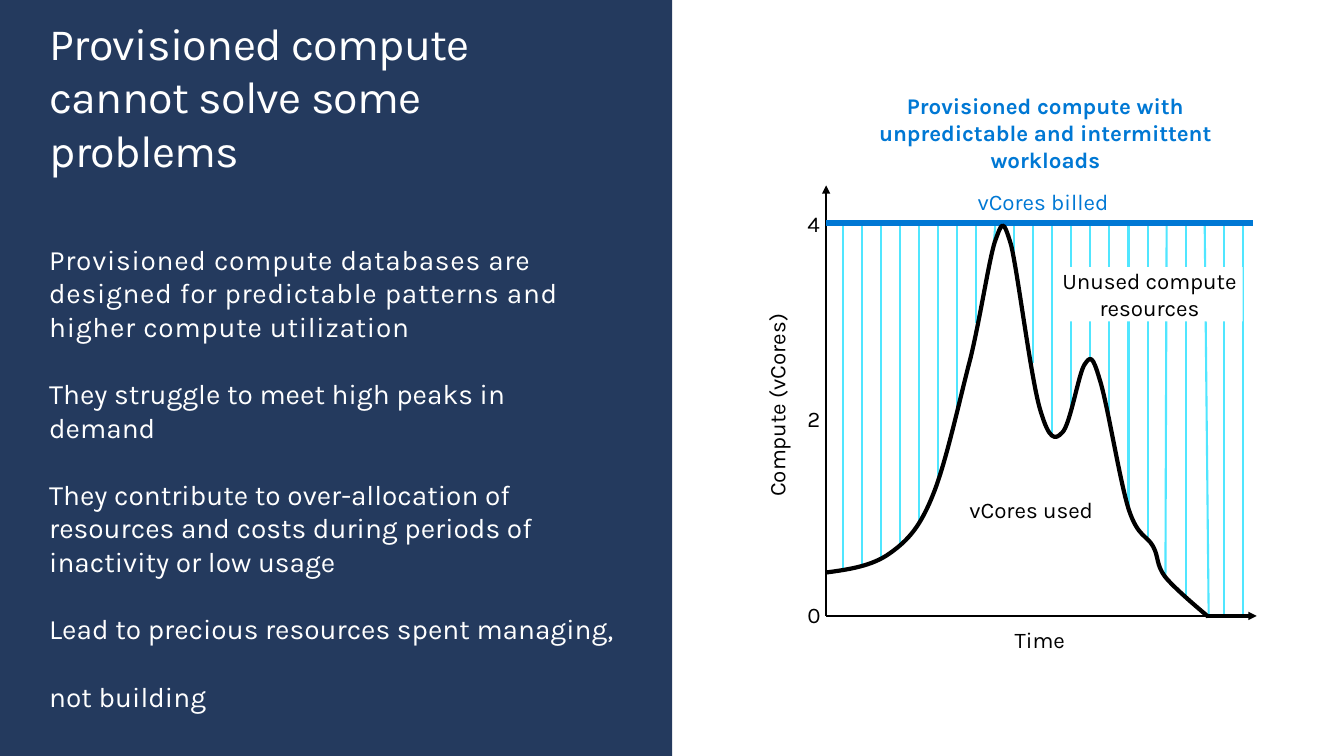
from lxml import etree
from pptx import Presentation
from pptx.dml.color import RGBColor
from pptx.enum.shapes import MSO_CONNECTOR, MSO_SHAPE
from pptx.enum.text import MSO_ANCHOR, PP_ALIGN
from pptx.oxml.ns import qn
from pptx.util import Cm, Pt

LEFT, CENTER = PP_ALIGN.LEFT, PP_ALIGN.CENTER
TOP, MIDDLE = MSO_ANCHOR.TOP, MSO_ANCHOR.MIDDLE
STRAIGHT, RECTANGLE = MSO_CONNECTOR.STRAIGHT, MSO_SHAPE.RECTANGLE

FONT = "Karla"
NAVY, WHITE, BLACK, BLUE, CYAN = "243A5E", "FFFFFF", "000000", "0078D4", "50E6FF"

# All lengths are in centimetres.
TITLE = "Provisioned compute cannot solve some problems"
POINTS = [
    "Provisioned compute databases are designed for predictable patterns and higher compute utilization",
    "They struggle to meet high peaks in demand",
    "They contribute to over-allocation of resources and costs during periods of inactivity or low usage",
    "Lead to precious resources spent managing,",
    "not building",
]
CHART_HEADING = "Provisioned compute with unpredictable and intermittent workloads"

AXIS_X, AXIS_Y = 20.82, 15.52
AXIS_TOP, AXIS_RIGHT = 4.67, 31.67
BILLED_Y, BILLED_RIGHT = 5.62, 31.57
TICKS = ["4", "2", "0"]
TICK_TOP, TICK_STEP = 5.3, 4.92

HATCH_TOP, HATCH_LEFT, HATCH_STEP = 5.69, 21.24, 0.48
HATCH_BOTTOMS = [
    14.38, 14.25, 14.12, 13.69, 13.18, 12.12, 10.39, 8.15, 6.1, 6.55, 9.14,
    10.97, 10.21, 8.99, 10.39, 12.85, 13.54, 14.53, 15.04, 15.54, 15.49, 15.49,
]
HATCH_LEAN = {8: -0.03, 17: -0.03, 19: 0.1}

USAGE_START = (20.8, 14.43)
USAGE_BEZIERS = [  # two control points and an end point each
    ((21.39, 14.35), (21.97, 14.27), (22.43, 13.94)),
    ((22.89, 13.61), (23.19, 13.28), (23.52, 12.45)),
    ((23.85, 11.63), (24.18, 10.08), (24.46, 9.02)),
    ((24.71, 7.98), (24.92, 6.58), (25.07, 6.1)),
    ((25.25, 5.61), (25.27, 5.46), (25.48, 6.17)),
    ((25.65, 6.86), (25.98, 9.53), (26.21, 10.31)),
    ((26.44, 11.1), (26.59, 11.1), (26.77, 10.9)),
    ((26.97, 10.72), (27.18, 9.42), (27.33, 9.19)),
    ((27.48, 8.97), (27.53, 8.94), (27.71, 9.55)),
    ((27.91, 10.16), (28.22, 12.14), (28.45, 12.85)),
    ((28.68, 13.54), (28.91, 13.49), (29.06, 13.77)),
    ((29.21, 14.05), (29.13, 14.22), (29.36, 14.53)),
    ((29.59, 14.83), (30.45, 15.54), (30.45, 15.54)),
]

prs = Presentation()
prs.slide_width, prs.slide_height = Cm(33.87), Cm(19.05)
slide = prs.slides.add_slide(prs.slide_layouts[6])
shapes = slide.shapes


def rgb(color):
    return RGBColor.from_string(color)


def add_text(paragraphs, left, top, width, height, size=16, color=BLACK, align=CENTER,
             anchor=TOP, fill=None, bold=False, gap=0, tracking=()):
    """Add a text box; tracking gives each paragraph's letter spacing in 1/100 pt."""
    box = shapes.add_textbox(Cm(left), Cm(top), Cm(width), Cm(height))
    if fill:
        box.fill.solid()
        box.fill.fore_color.rgb = rgb(fill)
    frame = box.text_frame
    frame.word_wrap = True
    frame.vertical_anchor = anchor
    frame.margin_left = frame.margin_right = frame.margin_top = frame.margin_bottom = 0
    frame.text = "\n".join(paragraphs)
    for index, paragraph in enumerate(frame.paragraphs):
        paragraph.alignment = align
        if index:
            paragraph.space_before = Pt(gap)
        for run in paragraph.runs:
            run.font.name, run.font.size, run.font.bold = FONT, Pt(size), bold
            run.font.color.rgb = rgb(color)
            if index < len(tracking):
                run.font._element.set("spc", str(tracking[index]))
    return box


def add_line(x1, y1, x2, y2, color, weight, arrow=False):
    line = shapes.add_connector(STRAIGHT, Cm(x1), Cm(y1), Cm(x2), Cm(y2))
    line.line.color.rgb = rgb(color)
    line.line.width = Pt(weight)
    if arrow:
        etree.SubElement(line.line._get_or_add_ln(), qn("a:tailEnd"), type="triangle")
    etree.SubElement(line._element.spPr, qn("a:effectLst"))


def add_usage_curve():
    """Lay out the Bezier points as segments, then join every three into one curve."""
    builder = shapes.build_freeform(Cm(USAGE_START[0]), Cm(USAGE_START[1]))
    points = [(Cm(x), Cm(y)) for bezier in USAGE_BEZIERS for x, y in bezier]
    builder.add_line_segments(points, close=False)
    curve = builder.convert_to_shape()
    segments = list(curve._element.iter(qn("a:lnTo")))
    outline = segments[0].getparent()
    for first in range(0, len(segments), 3):
        bezier = etree.SubElement(outline, qn("a:cubicBezTo"))
        for segment in segments[first:first + 3]:
            bezier.append(segment[0])
            outline.remove(segment)
    curve.shadow.inherit = False
    curve.fill.background()
    curve.line.color.rgb = rgb(BLACK)
    curve.line.width = Pt(3)


panel = shapes.add_shape(RECTANGLE, 0, 0, Cm(16.94), prs.slide_height)
panel.shadow.inherit = False
panel.fill.solid()
panel.fill.fore_color.rgb = rgb(NAVY)
panel.line.fill.background()

add_text([TITLE], 1.25, 1.05, 14.3, 2.74, 32, WHITE, LEFT, MIDDLE, tracking=[-50])
add_text(POINTS, 1.24, 6.1, 14.25, 10.26, 20, WHITE, LEFT, gap=24, tracking=[50])

for index, bottom in enumerate(HATCH_BOTTOMS):
    x = HATCH_LEFT + index * HATCH_STEP
    add_line(x, HATCH_TOP, x + HATCH_LEAN.get(index, 0), bottom, CYAN, 1.5)

add_line(AXIS_X, AXIS_Y, AXIS_X, AXIS_TOP, BLACK, 1, arrow=True)
add_line(AXIS_X, AXIS_Y, AXIS_RIGHT, AXIS_Y, BLACK, 1, arrow=True)
add_line(30.4, AXIS_Y, 31.47, AXIS_Y, BLACK, 3)

for index, tick in enumerate(TICKS):
    add_text([tick], 20.35, TICK_TOP + index * TICK_STEP, 0.53, 0.61, align=LEFT)
add_text(["Time"], 25.15, 15.77, 2.11, 0.61)
add_text(["Compute (vCores)"], 16.83, 9.91, 5.41, 0.61).rotation = 270
add_text(["vCores billed"], 20.85, 4.74, 10.87, 0.69, color=BLUE)
add_text(["vCores used"], 23.59, 12.5, 4.8, 0.69, fill=WHITE)

add_line(AXIS_X, BILLED_Y, BILLED_RIGHT, BILLED_Y, BLUE, 4.5)
add_usage_curve()
add_text([CHART_HEADING], 21.05, 2.32, 10.59, 1.63, color=BLUE, bold=True)
add_text(["Unused compute resources"], 26.62, 6.73, 4.7, 1.37, fill=WHITE)

prs.save("out.pptx")
